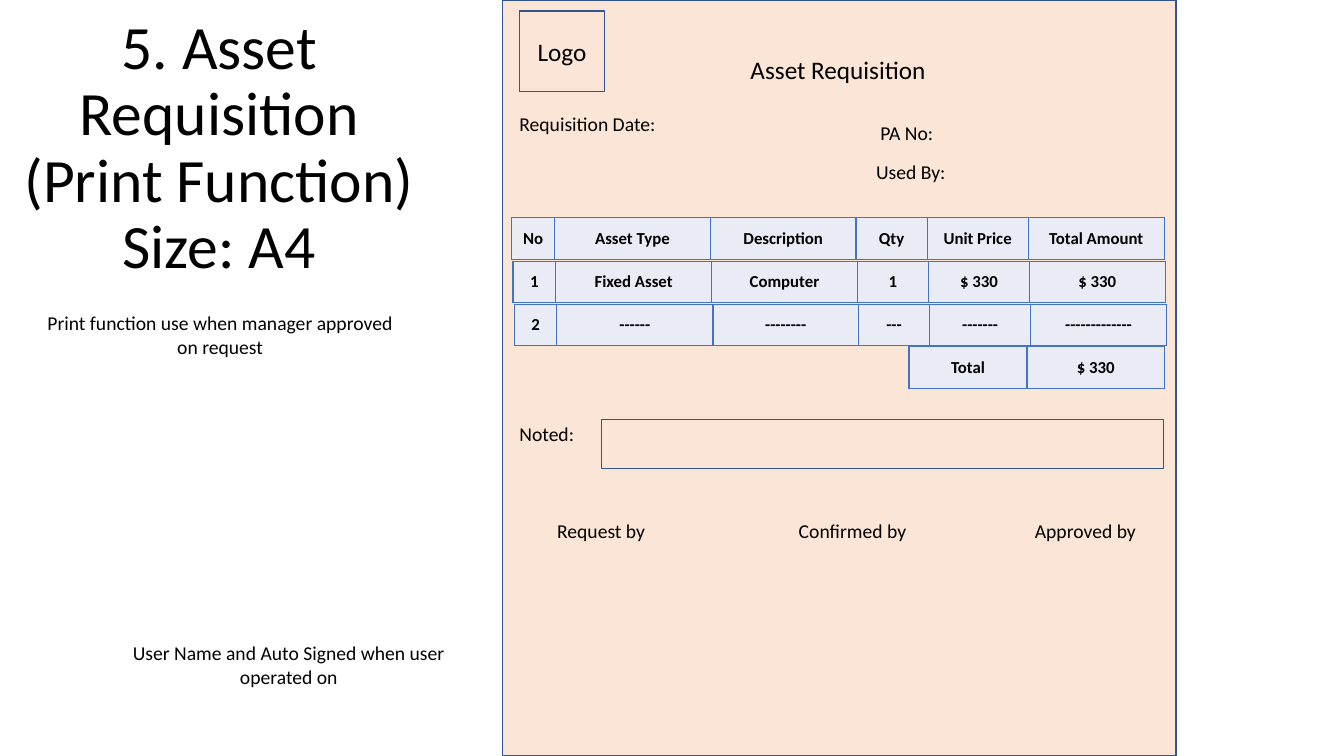
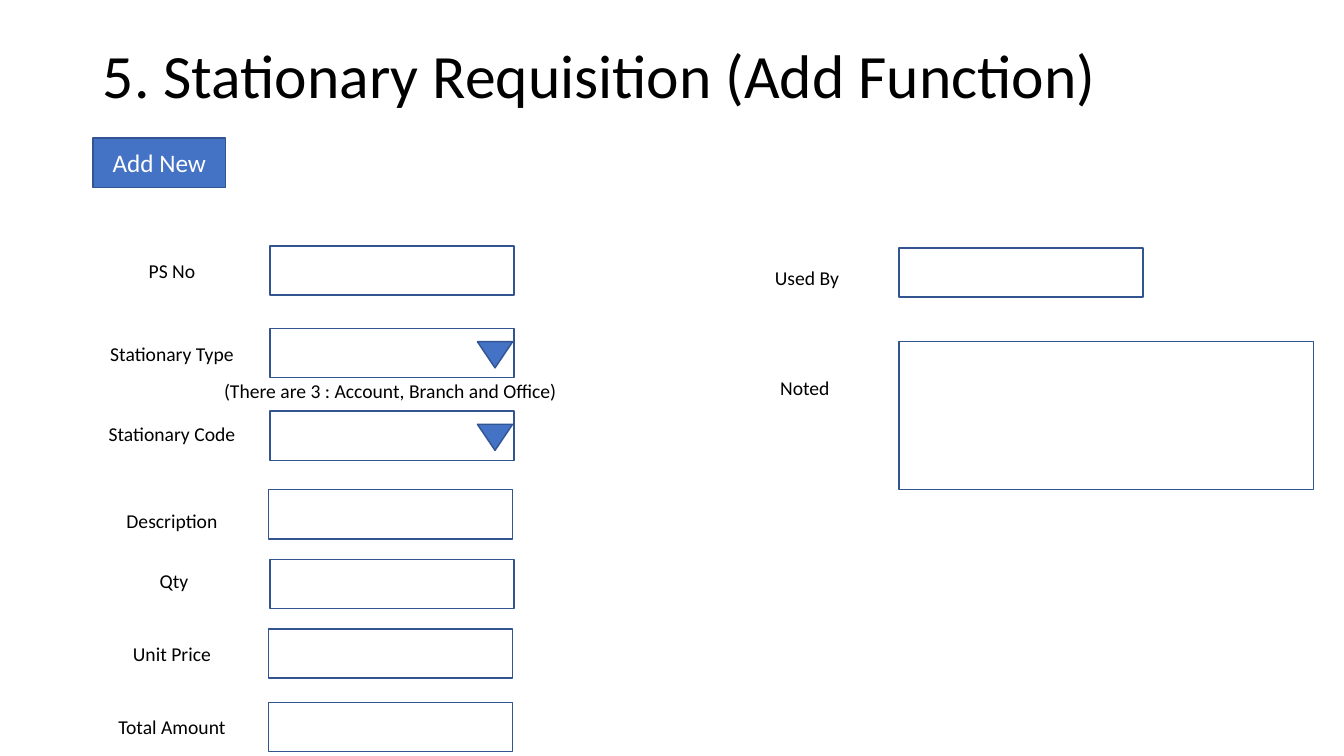
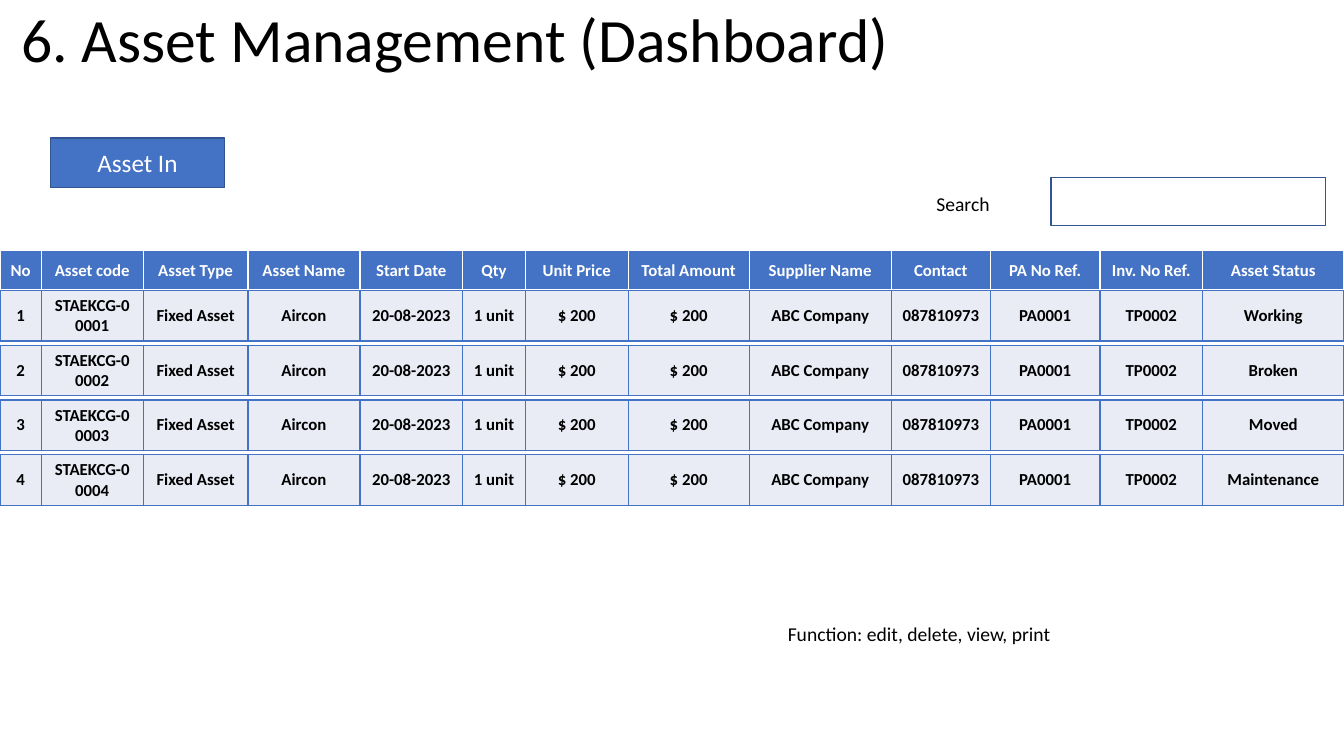
from lxml import etree
from pptx import Presentation
from pptx.dml.color import RGBColor
from pptx.enum.shapes import MSO_SHAPE
from pptx.enum.text import MSO_ANCHOR, MSO_AUTO_SIZE, PP_ALIGN
from pptx.oxml.ns import qn
from pptx.util import Cm, Pt

RECT, TRI = MSO_SHAPE.RECTANGLE, MSO_SHAPE.ISOSCELES_TRIANGLE
TOP, MID = MSO_ANCHOR.TOP, MSO_ANCHOR.MIDDLE
LEFT, MID_X = PP_ALIGN.LEFT, PP_ALIGN.CENTER
FIXED = MSO_AUTO_SIZE.NONE

BLACK = RGBColor(0x00, 0x00, 0x00)
WHITE = RGBColor(0xFF, 0xFF, 0xFF)
BLUE = RGBColor(0x44, 0x72, 0xC4)
NAVY = RGBColor(0x32, 0x54, 0x91)
PEACH = RGBColor(0xFB, 0xE5, 0xD6)
PALE = RGBColor(0xE9, 0xEB, 0xF5)

HEAD = {"size": Pt(44), "name": "Calibri"}
BIG = {"size": Pt(18), "name": "Calibri"}
BASE = {"size": Pt(14), "name": "Calibri"}
CELL = {"size": Pt(12), "name": "Calibri", "bold": True}

ROW_H = 1.04
BOX_H = 1.24
WIDE = 9.22


# Shared parts, all lengths in centimetres
def cms(*vals):
    return [Cm(v) for v in vals]


def write(frame, text, font, color=BLACK, align=MID_X, space=None):
    frame.text = text
    for para in frame.paragraphs:
        para.alignment = align
        para.line_spacing = space
        for run in para.runs:
            for key, val in font.items():
                setattr(run.font, key, val)
            run.font.color.rgb = color


def label(slide, text, x, y, w, font=BASE, align=MID_X):
    frame = slide.shapes.add_textbox(*cms(x, y, w, BOX_H)).text_frame
    frame.word_wrap = True
    frame.vertical_anchor = MID
    write(frame, text, font, align=align)


def box(slide, x, y, w, h=BOX_H, fill=None, text="", color=BLACK, kind=RECT):
    shape = slide.shapes.add_shape(kind, *cms(x, y, w, h))
    shape.shadow.inherit = False
    shape.line.color.rgb = NAVY
    shape.line.width = Pt(1)
    if fill is None:
        shape.fill.background()
    else:
        shape.fill.solid()
        shape.fill.fore_color.rgb = fill
    if text:
        shape.text_frame.vertical_anchor = MID
        write(shape.text_frame, text, BIG, color)
    return shape


def button(slide, text, x, y, w):
    box(slide, x, y, w, fill=BLUE, text=text, color=WHITE)


def title(slide, text, x, y, w, h, align=LEFT):
    head = slide.shapes.title
    head.left, head.top, head.width, head.height = cms(x, y, w, h)
    frame = head.text_frame
    frame.word_wrap = True
    frame.auto_size = FIXED
    frame.vertical_anchor = TOP
    write(frame, text, HEAD, align=align, space=0.9)


def edge(cell, color, base):
    props = cell._tc.get_or_add_tcPr()
    for i, side in enumerate(("lnL", "lnR", "lnT", "lnB")):
        wide = base if side == "lnB" else 1
        line = etree.Element(qn("a:" + side), w=str(Pt(wide)))
        fill = etree.SubElement(line, qn("a:solidFill"))
        etree.SubElement(fill, qn("a:srgbClr"), val=str(color))
        props.insert(i, line)


def strip(slide, texts, cols, x, y, h=ROW_H, fill=PALE, ink=BLACK,
          rule=BLUE, base=1):
    """One table row with its own frame."""
    table = slide.shapes.add_table(
        1, len(cols), *cms(x, y, sum(cols), h)).table
    table.first_row = table.horz_banding = False
    table.rows[0].height = Cm(h)
    for i, (text, w) in enumerate(zip(texts, cols)):
        table.columns[i].width = Cm(w)
        cell = table.cell(0, i)
        cell.vertical_anchor = MID
        cell.fill.solid()
        cell.fill.fore_color.rgb = fill
        write(cell.text_frame, text, CELL, ink)
        edge(cell, rule, base)


# Printed form
ITEMS = [
    ["No", "Asset Type", "Description", "Qty", "Unit Price", "Total Amount"],
    ["1", "Fixed Asset", "Computer", "1", "$ 330", "$ 330"],
    ["2", "------", "--------", "---", "-------", "-------------"],
]
ITEM_COLS = [1.07, 3.94, 3.66, 1.8, 2.54, 3.43]
FORM = [
    ("Requisition Date:", 0.17, 2.49, 4.19),
    ("PA No:", 9.27, 2.72, 5.16),
    ("Used By:", 9.16, 3.71, 5.16),
    ("Noted:", 0.17, 10.31, 5.16),
    ("Request by", 1.12, 12.75, 3.73),
    ("Confirmed by", 7.21, 12.75, 3.73),
    ("Approved by", 13.16, 12.75, 3.73),
]


def sheet(slide, x, y, w, h):
    box(slide, x, y, w, h, fill=PEACH)
    box(slide, x + 0.43, y + 0.28, 2.13, 2.03, text="Logo")
    label(slide, "Asset Requisition", x + 3.84, y + 1.14, WIDE, BIG)
    for text, dx, dy, wide in FORM:
        label(slide, text, x + dx, y + dy, wide, align=LEFT)
    for i, row in enumerate(ITEMS):
        strip(slide, row, ITEM_COLS, x + 0.23 + 0.03 * i, y + 5.49 + 1.09 * i)
    strip(slide, ["Total", "$ 330"], [2.97, 3.47], x + 10.24, y + 8.74)
    box(slide, x + 2.49, y + 10.57, 14.17)


def print_page(slide):
    title(slide, "5. Asset Requisition (Print Function)\nSize: A4",
          0, 0.28, 11.05, 8.94, MID_X)
    sheet(slide, 12.67, 0, 16.97, 19.05)
    label(slide, "Print function use when manager approved on request",
          0.94, 7.82, WIDE)
    label(slide, "User Name and Auto Signed when user operated on",
          2.67, 16.13, WIDE)


# Entry form: text, label x, label y, box x, box y, has arrow
FIELDS = [
    ("PS No", 0, 0, 4.47, 0, False),
    ("Stationary Type", 0, 2.08, 4.47, 2.08, True),
    ("Stationary Code", 0, 4.11, 4.47, 4.16, True),
    ("Description", 0, 6.3, 4.42, 6.14, False),
    ("Qty", 0.05, 7.8, 4.47, 7.9, False),
    ("Unit Price", 0, 9.65, 4.42, 9.65, False),
    ("Total Amount", 0, 11.5, 4.42, 11.5, False),
]


def entry(slide, x, y):
    for text, lx, ly, bx, by, arrow in FIELDS:
        label(slide, text, x + lx, y + ly, 3.99)
        box(slide, x + bx, y + by, 6.15)
        if arrow:
            mark = box(slide, x + bx + 5.22, y + by + 0.33, 0.89, 0.66,
                       fill=BLUE, kind=TRI)
            mark.rotation = 180
    label(slide, "(There are 3 : Account, Branch and Office)",
          x + 2.89, y + 3.02, WIDE)


def extra(slide, x, y):
    label(slide, "Used By", x, y + 0.13, 3.99)
    box(slide, x + 4.32, y, 6.15)
    label(slide, "Noted", x - 0.05, y + 2.89, 3.99)
    box(slide, x + 4.32, y + 2.36, 10.44, 3.73)


def add_page(slide):
    title(slide, "5. Stationary Requisition (Add Function)",
          2.34, 1.02, 29.21, 2.16)
    button(slide, "Add New", 2.34, 3.48, 3.35)
    entry(slide, 2.34, 6.2)
    extra(slide, 18.34, 6.25)


# Dashboard
NAMES = ["No", "Asset code", "Asset Type", "Asset Name", "Start Date", "Qty",
         "Unit Price", "Total Amount", "Supplier Name", "Contact",
         "PA No Ref.", "Inv. No Ref.", "Asset Status"]
SAME = ["Fixed Asset", "Aircon", "20-08-2023", "1 unit", "$ 200", "$ 200",
        "ABC Company", "087810973", "PA0001", "TP0002"]
STATES = ["Working", "Broken", "Moved", "Maintenance"]
COLS = [1.04, 2.57, 2.64, 2.82, 2.59, 1.58, 2.59, 3.05, 3.58, 2.5, 2.76,
        2.59, 3.56]


def stock(slide, x, y):
    strip(slide, NAMES, COLS, x, y, fill=BLUE, ink=WHITE, rule=WHITE, base=3)
    for i, state in enumerate(STATES):
        no = i + 1
        row = [str(no), f"STAEKCG-{no:05}", *SAME, state]
        strip(slide, row, COLS, x, y + 1.02 + 1.38 * i, 1.27)


def search(slide, x, y):
    label(slide, "Search", x, y, 4.5)
    box(slide, x + 4.47, y - 0.03, 6.91, 1.22)


def dash_page(slide):
    title(slide, "6. Asset Management (Dashboard)", 0.28, 0.1, 29.21, 2.16)
    button(slide, "Asset In", 1.27, 3.48, 4.39)
    search(slide, 22.02, 4.5)
    stock(slide, 0, 6.3)
    label(slide, "Function: edit, delete, view, print", 15.8, 15.34, 14.73)


def main():
    deck = Presentation()
    deck.slide_width, deck.slide_height = cms(33.87, 19.05)
    for page in (print_page, add_page, dash_page):
        page(deck.slides.add_slide(deck.slide_layouts[5]))
    deck.save("out.pptx")


if __name__ == "__main__":
    main()
